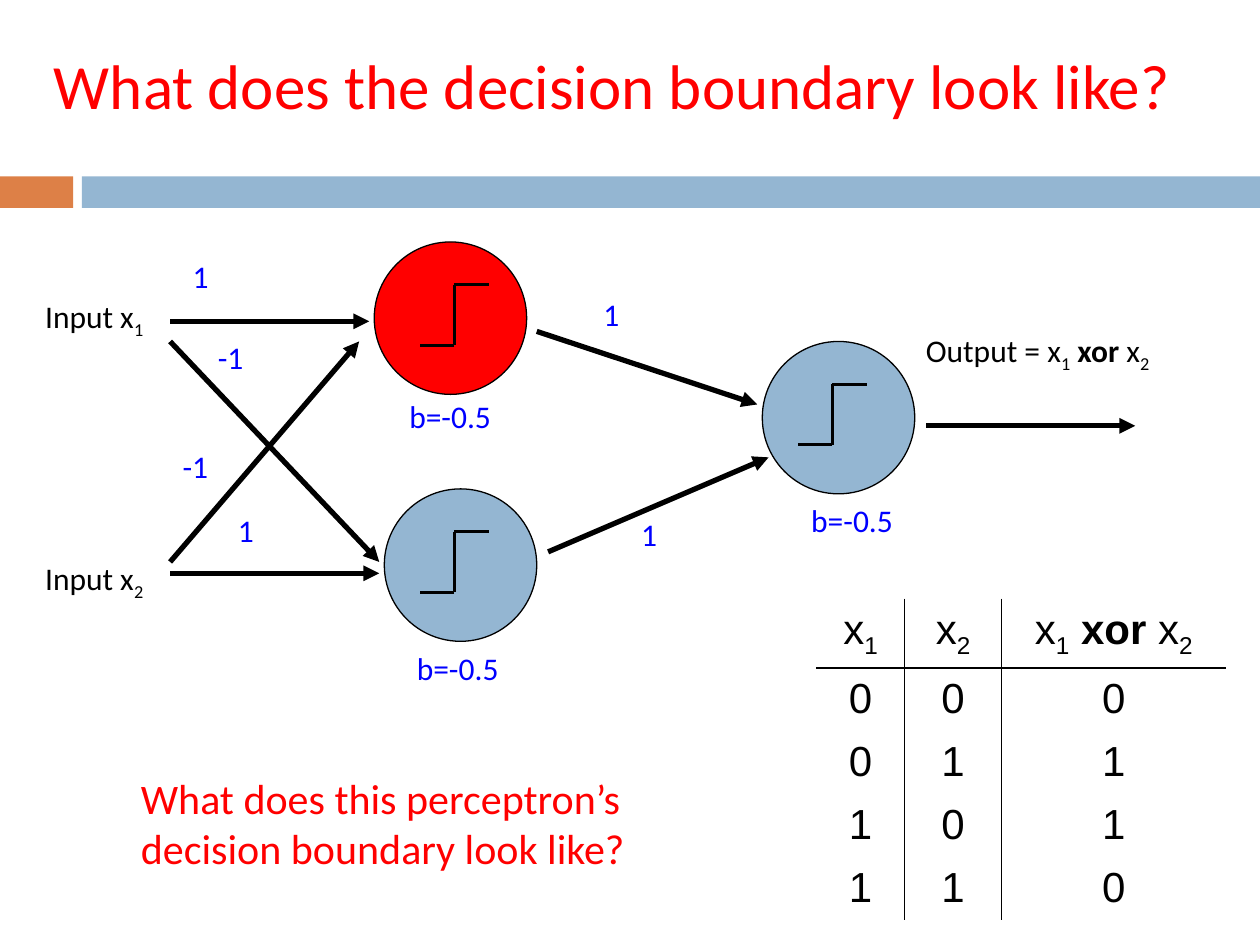
from lxml import etree
from pptx import Presentation
from pptx.dml.color import RGBColor
from pptx.enum.shapes import MSO_CONNECTOR, MSO_SHAPE
from pptx.enum.text import MSO_ANCHOR, PP_ALIGN
from pptx.oxml.ns import qn
from pptx.util import Inches, Pt

STRAIGHT = MSO_CONNECTOR.STRAIGHT
RECTANGLE, OVAL = MSO_SHAPE.RECTANGLE, MSO_SHAPE.OVAL
MIDDLE, TOP = MSO_ANCHOR.MIDDLE, MSO_ANCHOR.TOP
LEFT, CENTER = PP_ALIGN.LEFT, PP_ALIGN.CENTER

BLACK, RED, BLUE, STEEL, ORANGE = "000000", "FF0000", "0000FF", "94B6D2", "DD8047"
WIDTH, HEIGHT = Inches(10), Inches(7.5)
COLUMNS, ROWS = 100, 75

# Text pieces: plain string, or (string, "sub" / "bold")
X1 = ["x", ("1", "sub")]
X2 = ["x", ("2", "sub")]
XOR = X1 + [(" xor ", "bold")] + X2


def color(hex_string):
    return RGBColor.from_string(hex_string)


class PerceptronSlide:
    """Draws on one slide; all lengths are grid columns and rows."""

    diameter = 12.1
    step_width, step_height, step_drop = 5.5, 4.8, 3.4

    def __init__(self, slide, font="Calibri"):
        self.slide = slide
        self.font = font

    def x(self, columns):
        return round(columns * WIDTH / COLUMNS)

    def y(self, rows):
        return round(rows * HEIGHT / ROWS)

    def box(self, left, top, width, height):
        return self.x(left), self.y(top), self.x(width), self.y(height)

    def add_pieces(self, paragraph, pieces, size, ink, font=None, align=LEFT):
        paragraph.alignment = align
        for piece in pieces:
            words, style = (piece, "") if isinstance(piece, str) else piece
            run = paragraph.add_run()
            run.text = words
            run.font.size = Pt(size)
            run.font.name = font or self.font
            run.font.color.rgb = color(ink)
            run.font.bold = style == "bold"
            if style == "sub":
                run._r.get_or_add_rPr().set("baseline", "-25000")

    def text(self, place, pieces, size=18, ink=BLACK, wrap=True, anchor=TOP):
        frame = self.slide.shapes.add_textbox(*self.box(*place)).text_frame
        frame.word_wrap = wrap
        frame.vertical_anchor = anchor
        self.add_pieces(frame.paragraphs[0], pieces, size, ink)

    def shape(self, kind, place, fill, outlined=False):
        shape = self.slide.shapes.add_shape(kind, *self.box(*place))
        shape.shadow.inherit = False
        shape.fill.solid()
        shape.fill.fore_color.rgb = color(fill)
        if outlined:
            shape.line.color.rgb = color(BLACK)
            shape.line.width = Pt(0.75)
        else:
            shape.line.fill.background()

    def line(self, shapes, start, end, weight):
        line = shapes.add_connector(
            STRAIGHT, self.x(start[0]), self.y(start[1]), self.x(end[0]), self.y(end[1]))
        line.line.color.rgb = color(BLACK)
        line.line.width = Pt(weight)
        etree.SubElement(line._element.spPr, qn("a:effectLst"))
        return line

    def arrow(self, start, end):
        arrow = self.line(self.slide.shapes, start, end, 3)
        outline = arrow._element.spPr.find(qn("a:ln"))
        etree.SubElement(outline, qn("a:tailEnd"), type="triangle")

    def neuron(self, left, top, fill, step_left, bias_at):
        """A circle with a step function inside and its bias below."""
        self.shape(OVAL, (left, top, self.diameter, self.diameter), fill, outlined=True)
        high = top + self.step_drop
        low = high + self.step_height
        middle, right = step_left + self.step_width / 2, step_left + self.step_width
        corners = [(right, high), (middle, high), (middle, low), (step_left, low)]
        group = self.slide.shapes.add_group_shape()
        for start, end in zip(corners, corners[1:]):
            self.line(group.shapes, start, end, 1.5)
        self.text((*bias_at, 9.3, 4), ["b=-0.5"], ink=BLUE, wrap=False)

    def border(self, cell, sides):
        properties = cell._tc.get_or_add_tcPr()
        for index, side in enumerate("LRTB"):
            edge = etree.Element(qn(f"a:ln{side}"), w=str(Pt(1)))
            if side in sides:
                fill = etree.SubElement(edge, qn("a:solidFill"))
                etree.SubElement(fill, qn("a:srgbClr"), val=BLACK)
            else:
                etree.SubElement(edge, qn("a:noFill"))
            properties.insert(index, edge)

    def truth_table(self, left, top, widths, heights, rows):
        table = self.slide.shapes.add_table(
            len(rows), len(widths),
            *self.box(left, top, sum(widths), sum(heights))).table
        table.first_row = table.horz_banding = False
        for column, width in zip(table.columns, widths):
            column.width = self.x(width)
        for r, (row, height) in enumerate(zip(rows, heights)):
            table.rows[r].height = self.y(height)
            for c, pieces in enumerate(row):
                cell = table.cell(r, c)
                cell.fill.background()
                cell.vertical_anchor = MIDDLE
                cell.margin_top = cell.margin_bottom = 0
                self.add_pieces(cell.text_frame.paragraphs[0], pieces, 24, BLACK,
                                "Arial", CENTER)
                # Rules between columns and under the header
                sides = ("L" if c else "") + ("R" if c < len(widths) - 1 else "")
                self.border(cell, sides + {0: "B", 1: "T"}.get(r, ""))


def main():
    deck = Presentation()
    deck.slide_width, deck.slide_height = WIDTH, HEIGHT
    page = PerceptronSlide(deck.slides.add_slide(deck.slide_layouts[6]))

    # Title and band
    page.shape(RECTANGLE, (0, 14, 5.8, 2.5), ORANGE)
    page.shape(RECTANGLE, (6.5, 14, 93.5, 2.5), STEEL)
    page.text((3.3, -0.8, 94, 15), ["What does the decision boundary look like?"],
              size=36, ink=RED, anchor=MIDDLE)

    # Inputs and output
    page.text((2.6, 23.1, 12.5, 4), ["Input "] + X1)
    page.text((2.6, 43.9, 12.5, 4), ["Input "] + X2)
    page.text((72.5, 25.8, 22, 4), ["Output = "] + XOR, wrap=False)

    # Neurons
    page.neuron(29.7, 19.2, RED, 33.3, (31.5, 31))
    page.neuron(30.5, 38.8, STEEL, 33.3, (32.1, 51))
    page.neuron(60.5, 27.1, STEEL, 63.3, (63.4, 39.3))

    # Connections
    for start, end in [
        ((13.5, 25.5), (29.3, 25.5)),
        ((13.5, 27.1), (30.1, 44.6)),
        ((13.5, 45.5), (30.1, 45.5)),
        ((13.5, 44.6), (28.5, 27.1)),
        ((42.6, 26.3), (60.1, 32.1)),
        ((43.5, 43.8), (61, 36.3)),
        ((73.5, 33.8), (90.1, 33.8)),
    ]:
        page.arrow(start, end)

    # Weights
    for left, top, weight in [
        (14.3, 19.9, "1"), (16.3, 26.3, "-1"), (13.5, 35, "-1"),
        (17.9, 40.1, "1"), (46.9, 22.9, "1"), (49.9, 40.4, "1"),
    ]:
        page.text((left, top, 3.2 if weight == "1" else 4.8, 4), [weight], ink=BLUE)

    # Truth table of xor
    truths = [[str(a), str(b), str(a ^ b)] for a in (0, 1) for b in (0, 1)]
    page.truth_table(64.8, 47.5, [7, 7.7, 17.8], [5.5] + [5] * 4, [[X1, X2, XOR]] + truths)

    # Question
    page.text((10.2, 60.8, 47.3, 9.1),
              ["What does this perceptron’s decision boundary look like?"], size=24, ink=RED)

    deck.save("out.pptx")


if __name__ == "__main__":
    main()
